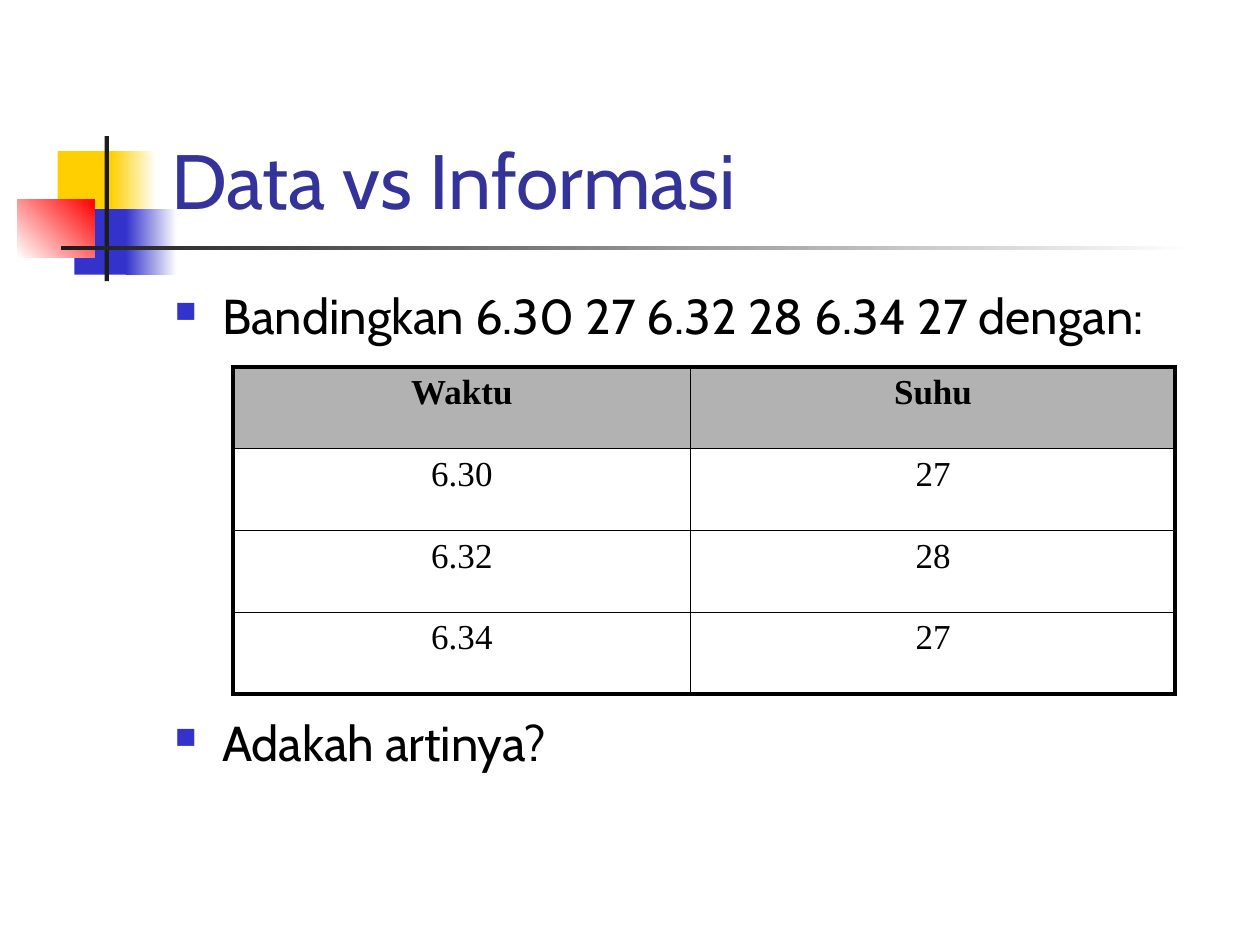
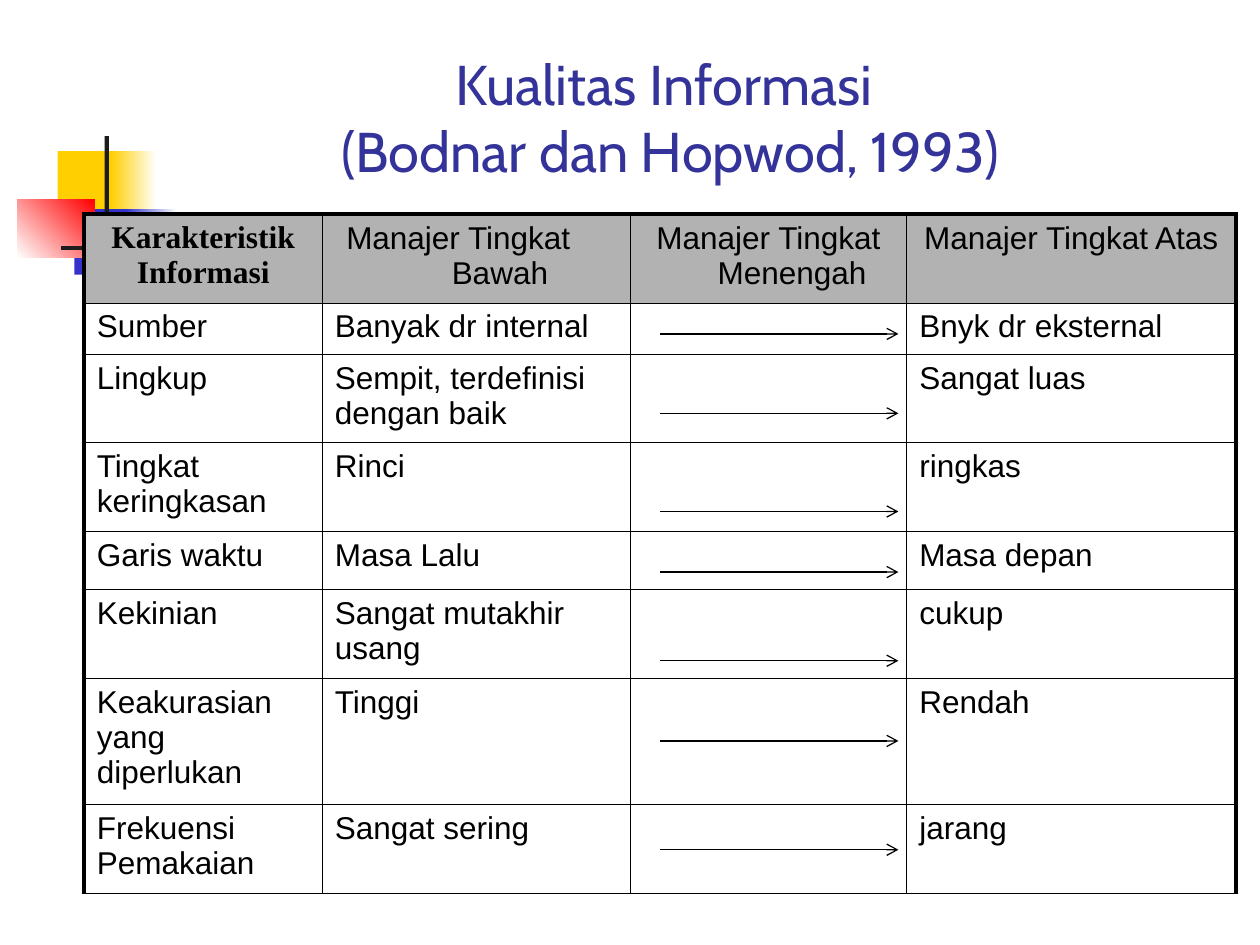
import pptx
import pptx.dml.color
import pptx.enum.shapes
import pptx.enum.text
import pptx.oxml
import pptx.oxml.ns
import pptx.util

Pt = pptx.util.Pt
RGBColor = pptx.dml.color.RGBColor
ALIGN = pptx.enum.text.PP_ALIGN
ANCHOR = pptx.enum.text.MSO_ANCHOR
RECTANGLE = pptx.enum.shapes.MSO_SHAPE.RECTANGLE
STRAIGHT = pptx.enum.shapes.MSO_CONNECTOR.STRAIGHT

WHITE = RGBColor(0xFF, 0xFF, 0xFF)
BLACK = RGBColor(0x00, 0x00, 0x00)
YELLOW = RGBColor(0xFF, 0xCF, 0x01)
BLUE = RGBColor(0x33, 0x33, 0xCC)
RED = RGBColor(0xFF, 0x00, 0x00)
CHARCOAL = RGBColor(0x1C, 0x1C, 0x1C)
TITLE_BLUE = RGBColor(0x33, 0x33, 0x99)
HEADER_GRAY = RGBColor(0xB2, 0xB2, 0xB2)

DISPLAY, SERIF, SANS = "Cabin", "Times New Roman", "Arial"
THICK, THIN = 2.5, 0.45
HANGING = 27

# Left, top, width, height, colours from start to end, gradient angle
ORNAMENT = [
    (33, 86.4, 34.5, 37.5, [YELLOW], 0),
    (63.4, 86.4, 26, 37.5, [YELLOW, WHITE], 0),
    (42.5, 119.5, 33, 37.5, [BLUE], 0),
    (72, 119.5, 29, 37.5, [BLUE, WHITE], 0),
    (10, 113.8, 44, 33.2, [WHITE, RED], 45),
    (59.8, 77.8, 2.5, 82.8, [CHARCOAL], 0),
    (34.6, 140.4, 648, 2.5, [CHARCOAL, WHITE], 0),
]


def add_xml(parent, tag, content="", **attributes):
    """Append one drawing element to parent."""
    namespace = pptx.oxml.ns.nsdecls("a")
    listed = "".join(f' {key}="{value}"' for key, value in attributes.items())
    parent.append(pptx.oxml.parse_xml(f"<a:{tag} {namespace}{listed}>{content}</a:{tag}>"))


def write(frame, text, size=18, font=SANS, color=BLACK, bold=False, align=ALIGN.LEFT,
          hanging=0, bullet=False, before=0):
    """Add one paragraph; the first call fills the paragraph already there."""
    para = frame.paragraphs[0]
    if para.runs:
        para = frame.add_paragraph()
    para.alignment = align
    if before:
        para.space_before = Pt(before)
    properties = para._p.get_or_add_pPr()
    if hanging:
        properties.set("marL", str(Pt(hanging)))
        properties.set("indent", str(-Pt(hanging)))
    if bullet:
        add_xml(properties, "buClr", f'<a:srgbClr val="{BLUE}"/>')
        add_xml(properties, "buSzPct", val=60000)
        add_xml(properties, "buChar", char="■")
    para.text = text
    for span in para.runs:
        span.font.size = Pt(size)
        span.font.name = font
        span.font.bold = bold
        span.font.color.rgb = color


class SlideMaker:
    def __init__(self, deck):
        self.deck = deck
        self.slide = None

    def new_slide(self):
        self.slide = self.deck.slides.add_slide(self.deck.slide_layouts[6])
        for left, top, width, height, colors, angle in ORNAMENT:
            self.block(left, top, width, height, colors, angle)

    def block(self, left, top, width, height, colors, angle):
        shape = self.slide.shapes.add_shape(RECTANGLE, Pt(left), Pt(top), Pt(width), Pt(height))
        shape.shadow.inherit = False
        shape.line.fill.background()
        if len(colors) == 1:
            shape.fill.solid()
            shape.fill.fore_color.rgb = colors[0]
            return
        shape.fill.gradient()
        shape.fill.gradient_angle = angle
        for stop, color, position in zip(shape.fill.gradient_stops, colors, (0, 1)):
            stop.color.rgb = color
            stop.position = position

    def text_box(self, left, top, width, height, anchor=ANCHOR.TOP):
        box = self.slide.shapes.add_textbox(Pt(left), Pt(top), Pt(width), Pt(height))
        frame = box.text_frame
        frame.word_wrap = True
        frame.vertical_anchor = anchor
        return frame

    def title(self, text, left, top, width, height, size, align=ALIGN.LEFT):
        frame = self.text_box(left, top, width, height, ANCHOR.BOTTOM)
        write(frame, text, size=size, font=DISPLAY, color=TITLE_BLUE, align=align)

    def table(self, left, top, widths, heights, closed=True):
        """Add a grid with a thick frame, open at the bottom unless closed."""
        holder = self.slide.shapes.add_table(len(heights), len(widths), Pt(left), Pt(top),
                                             Pt(sum(widths)), Pt(sum(heights)))
        table = holder.table
        table.first_row = table.horz_banding = False
        for column, width in zip(table.columns, widths):
            column.width = Pt(width)
        for row, height in zip(table.rows, heights):
            row.height = Pt(height)
        last_row, last_column = len(heights) - 1, len(widths) - 1
        for r in range(len(heights)):
            for c in range(len(widths)):
                cell = table.cell(r, c)
                self.borders(cell, L=c == 0, R=c == last_column,
                             T=r == 0, B=closed and r == last_row)
                if r == 0:
                    cell.fill.solid()
                    cell.fill.fore_color.rgb = HEADER_GRAY
                else:
                    cell.fill.background()
        return table

    def borders(self, cell, **thick_sides):
        properties = cell._tc.get_or_add_tcPr()
        for side, thick in thick_sides.items():
            add_xml(properties, f"ln{side}",
                    f'<a:solidFill><a:srgbClr val="{BLACK}"/></a:solidFill>',
                    w=Pt(THICK if thick else THIN))

    def arrow(self, start, end, y):
        line = self.slide.shapes.add_connector(STRAIGHT, Pt(start), Pt(y), Pt(end), Pt(y))
        line.line.color.rgb = BLACK
        line.line.width = Pt(0.75)
        add_xml(line.line._get_or_add_ln(), "tailEnd", type="arrow")
        add_xml(line._element.spPr, "effectLst")


def build_data_slide(maker):
    maker.new_slide()
    maker.title("Data vs Informasi", 90.7, 16.6, 613.4, 115.2, size=44)

    # Bullets above and below the table
    body = maker.text_box(92.9, 159.8, 612, 324)
    bullet_style = dict(size=28, font=DISPLAY, hanging=HANGING, bullet=True)
    write(body, "Bandingkan 6.30 27 6.32 28 6.34 27 dengan:", **bullet_style)
    write(body, "Adakah artinya?", before=210, **bullet_style)

    # Times and temperatures
    readings = [("Waktu", "Suhu"), ("6.30", "27"), ("6.32", "28"), ("6.34", "27")]
    table = maker.table(133.2, 209.5, [261.5, 277], [46.8] * len(readings))
    for r, reading in enumerate(readings):
        for c, text in enumerate(reading):
            write(table.cell(r, c).text_frame, text, size=20, font=SERIF,
                  bold=r == 0, align=ALIGN.CENTER)


def build_quality_slide(maker):
    maker.new_slide()
    maker.title("Kualitas Informasi \v(Bodnar dan Hopwod, 1993)", 76.3, 20.2, 613.4, 88.6,
                size=32, align=ALIGN.CENTER)

    table = maker.table(48.2, 122.4, [136, 176, 158, 188],
                        [50.8, 29.2, 50.5, 50.8, 33.2, 50.8, 72, 50.8], closed=False)

    # Header row
    centered = dict(align=ALIGN.CENTER, hanging=HANGING)
    corner, lower, middle, upper = [table.cell(0, c) for c in range(4)]
    for text in ("Karakteristik", "Informasi"):
        write(corner.text_frame, text, font=SERIF, bold=True, **centered)
    lower.margin_right = Pt(27.8)
    write(lower.text_frame, "Manajer Tingkat Bawah", align=ALIGN.CENTER, hanging=47.6)
    write(middle.text_frame, "Manajer Tingkat Menengah", **centered)
    write(upper.text_frame, "Manajer Tingkat Atas", **centered)

    # Characteristic, lower manager, upper manager, height of the arrow
    qualities = [
        ("Sumber", "Banyak dr internal", "Bnyk dr eksternal", 190.8),
        ("Lingkup", "Sempit, terdefinisi dengan baik", "Sangat luas", 236.2),
        ("Tingkat keringkasan", "Rinci", "ringkas", 292.3),
        ("Garis waktu", "Masa Lalu", "Masa depan", 326.9),
        ("Kekinian", "Sangat mutakhir usang", "cukup", 377.6),
        ("Keakurasian yang diperlukan", "Tinggi", "Rendah", 423.4),
        ("Frekuensi Pemakaian", "Sangat sering", "jarang", 485.6),
    ]
    for r, (*texts, arrow_y) in enumerate(qualities, start=1):
        for c, text in zip((0, 1, 3), texts):
            write(table.cell(r, c).text_frame, text)
        maker.arrow(377.3, 513.4, arrow_y)


def main():
    deck = pptx.Presentation()
    deck.slide_width, deck.slide_height = Pt(720), Pt(540)
    maker = SlideMaker(deck)
    build_data_slide(maker)
    build_quality_slide(maker)
    deck.save("out.pptx")


if __name__ == "__main__":
    main()
